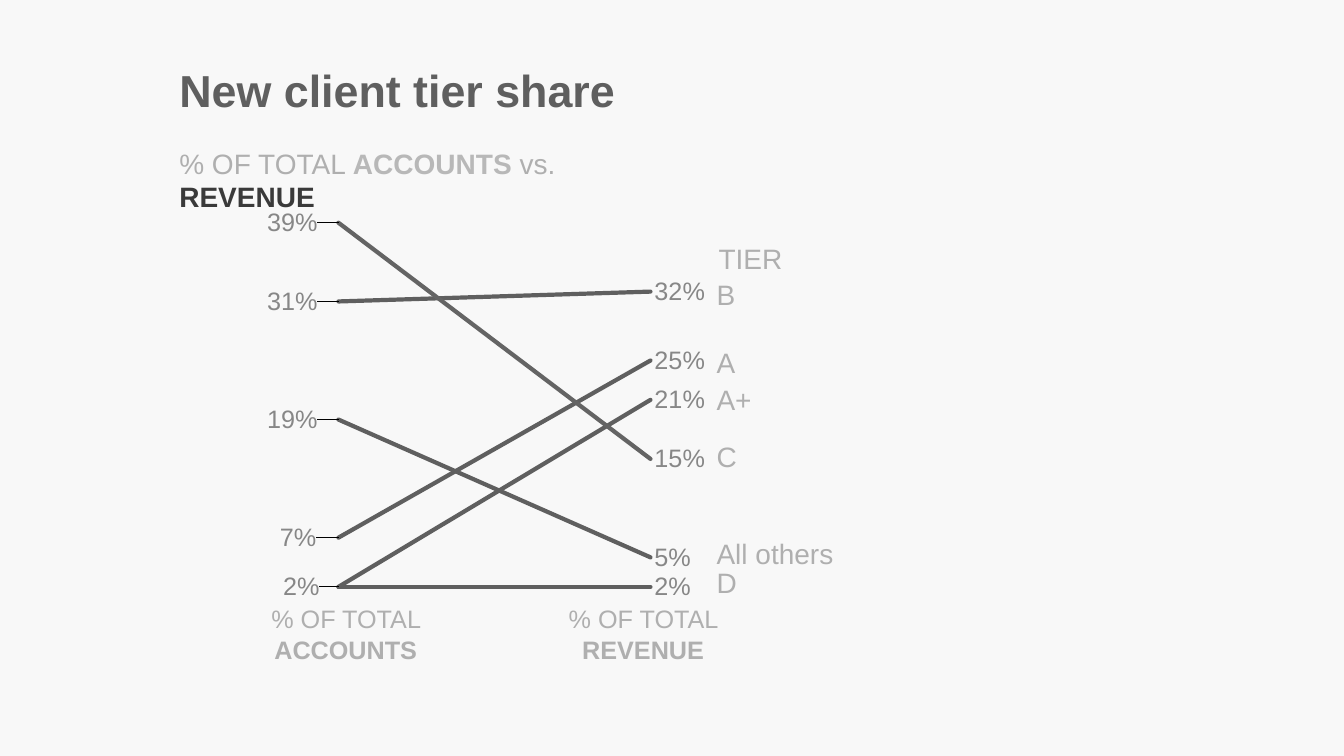
from pptx import Presentation, util as u
from pptx.chart import data
from pptx.dml import color
from pptx.enum import chart as ch, text
from pptx.oxml import parse_xml
from pptx.oxml.ns import nsdecls

INK, GREY, VALUE = "5F5F5F", "AFAFAF", "878787"
SHARES = [
    (0.02, 0.21, INK, -0.023),
    (0.07, 0.25, INK, -0.028),
    (0.31, 0.32, INK, -0.026),
    (0.39, 0.15, "646464", -0.026),
    (0.02, 0.02, INK, None),
    (0.19, 0.05, INK, -0.026),
]
TIERS = [("B", 194.4), ("A", 243.4), ("A+", 270), ("C", 310.3), ("All others", 379.4), ("D", 400.3)]


def rgb(value):
    return color.RGBColor.from_string(value)


def style_font(font, size=20, fill=GREY, bold=False):
    font.name = "Arial"
    font.size = u.Pt(size)
    font.bold = bold
    font.color.rgb = rgb(fill)


def add_run(p, words, **fmt):
    r = p.add_run()
    r.text = words
    style_font(r.font, **fmt)


def manual_layout(**parts):
    items = "".join(f'<c:{key} val="{value}"/>' for key, value in parts.items())
    return parse_xml(f'<c:layout {nsdecls("c")}><c:manualLayout>{items}</c:manualLayout></c:layout>')


class SlopeSlide:
    def __init__(self, prs, background):
        self.s = prs.slides.add_slide(prs.slide_layouts[6])
        fill = self.s.background.fill
        fill.solid()
        fill.fore_color.rgb = rgb(background)

    def text(self, x, y, w, h, *runs, align=text.PP_ALIGN.LEFT):
        sp = self.s.shapes.add_textbox(u.Pt(x), u.Pt(y), u.Pt(w), u.Pt(h))
        tf = sp.text_frame
        tf.word_wrap = True
        tf.auto_size = text.MSO_AUTO_SIZE.SHAPE_TO_FIT_TEXT
        p = tf.paragraphs[0]
        p.alignment = align
        for words, fmt in runs:
            add_run(p, words, **fmt)

    def slope_chart(self, x, y, w, h, shares):
        cd = data.CategoryChartData(number_format="0%")
        cd.categories = ["1", "2"]
        for i, (accounts, revenue, _, _) in enumerate(shares, 1):
            cd.add_series(f"Series {i}", (accounts, revenue))
        chart = self.s.shapes.add_chart(
            ch.XL_CHART_TYPE.LINE, u.Pt(x), u.Pt(y), u.Pt(w), u.Pt(h), cd).chart
        style_font(chart.font, 10, INK)
        chart.has_legend = False
        chart.has_title = False
        axis = chart.value_axis
        axis.minimum_scale, axis.maximum_scale = 0, 0.4
        axis.has_major_gridlines = False
        axis.tick_labels.number_format = "0%"
        axis.visible = chart.category_axis.visible = False
        area = chart.plots[0]._element.getparent()
        for old in area.findall("{*}layout"):
            area.remove(old)
        area.insert(0, manual_layout(layoutTarget="inner", xMode="edge", yMode="edge",
                                     x=0.02, y=0.02, w=0.96, h=0.96))
        for series, (_, _, stroke, shift) in zip(chart.plots[0].series, shares):
            self.slope(series, stroke, shift)

    def slope(self, series, stroke, shift):
        series.smooth = False
        series.marker.style = ch.XL_MARKER_STYLE.NONE
        series.format.line.width = u.Pt(3)
        series.format.line.color.rgb = rgb(stroke)
        series.format.line._ln.set("cap", "rnd")
        labels = series.data_labels
        labels.show_value = True
        labels.number_format = "0%"
        labels.number_format_is_linked = False
        labels.position = ch.XL_LABEL_POSITION.RIGHT
        style_font(labels.font, 18, VALUE)
        left = series.points[0].data_label
        left.position = ch.XL_LABEL_POSITION.LEFT
        style_font(left.font, 18, VALUE)
        d = labels._element.find("{*}dLbl")
        if shift is None:
            for child in d[1:]:
                d.remove(child)
            d.append(parse_xml(f'<c:delete {nsdecls("c")} val="1"/>'))
        else:
            d.insert(1, manual_layout(x=shift, y=0))


def main():
    prs = Presentation()
    prs.slide_width, prs.slide_height = u.Pt(960), u.Pt(540)
    slide = SlopeSlide(prs, "F8F8F8")
    slide.slope_chart(121, 146.2, 464.4, 293, SHARES)
    slide.text(121, 100.8, 338.4, 31.7,
               ("% OF TOTAL ", {}),
               ("ACCOUNTS ", {"fill": "B8B8B8", "bold": True}),
               ("vs. ", {}),
               ("REVENUE", {"fill": "3A3A3A", "bold": True}))
    slide.text(121, 41, 338.4, 46, ("New client tier share", {"size": 32, "fill": INK, "bold": True}))
    for x, h, measure in [(185.8, 94.3, "ACCOUNTS"), (398.2, 72.7, "REVENUE")]:
        slide.text(x, 427.7, 122.4, h,
                   ("% OF TOTAL ", {"size": 18}),
                   (measure, {"size": 18, "bold": True}), align=text.PP_ALIGN.CENTER)
    slide.text(506.2, 169.2, 74.2, 31.7, ("TIER", {}))
    for tier, y in TIERS:
        slide.text(504.7, y, 178.6 if len(tier) > 2 else 42.5, 31.7, (tier, {}))
    prs.save("out.pptx")


if __name__ == "__main__":
    main()
